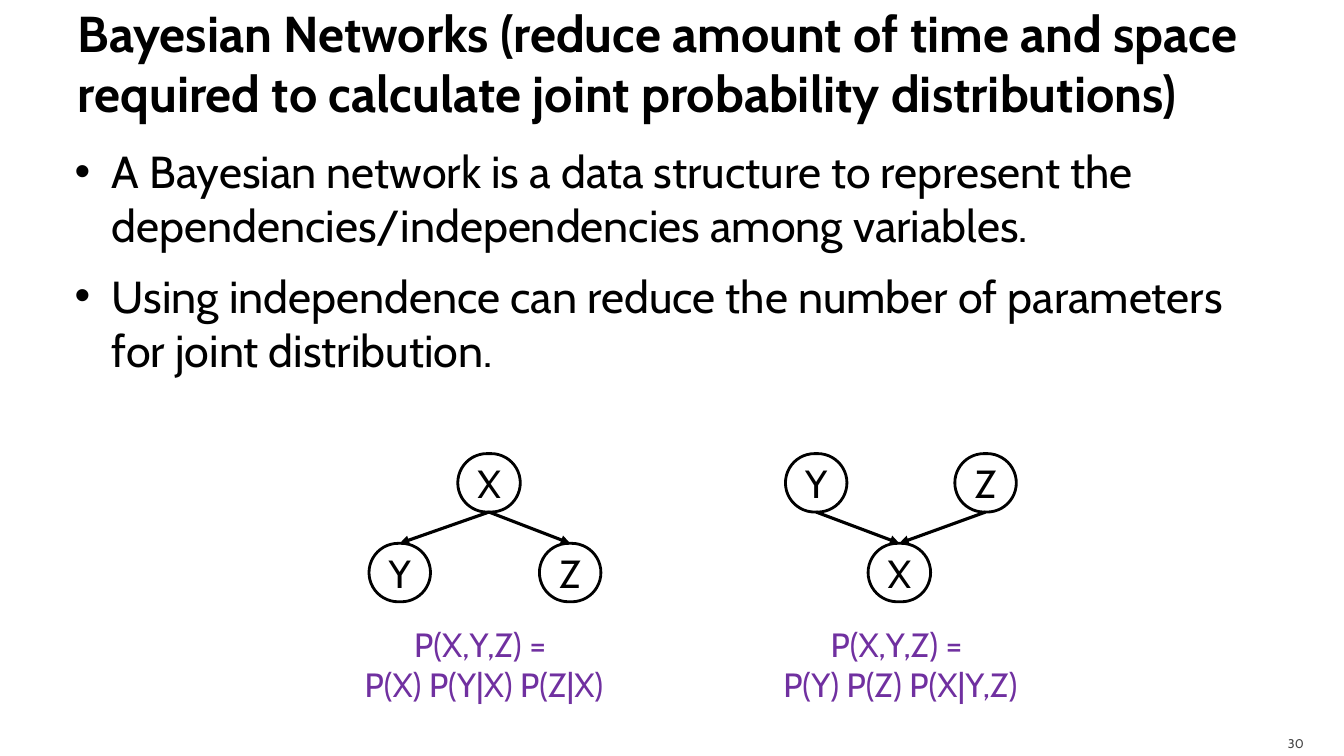
"""Build a slide on Bayesian networks with two small dependency graphs."""
from dataclasses import dataclass

from lxml.etree import SubElement
from pptx import Presentation
from pptx.dml.color import RGBColor
from pptx.enum.shapes import MSO_CONNECTOR, MSO_SHAPE
from pptx.enum.text import MSO_ANCHOR, MSO_AUTO_SIZE, PP_ALIGN
from pptx.oxml.ns import qn
from pptx.shapes.autoshape import Shape
from pptx.slide import Slide
from pptx.text.text import TextFrame, _Paragraph
from pptx.util import Emu, Pt

FONT = "Cabin"
BLACK, GREY, PURPLE = "000000", "454545", "7030A0"
EMU_PER_PX = 9144
NODE_HEIGHT = 58
TOP_ROW, BOTTOM_ROW = 450, 539
BOTTOM_SITE, TOP_SITE = 2, 0


@dataclass(frozen=True)
class Node:
    name: str
    left: int
    top: int
    width: int = 61


@dataclass(frozen=True)
class Network:
    nodes: tuple[Node, ...]
    edges: tuple[str, ...]
    formula_left: int
    formula: tuple[str, ...]


TITLE = ("Bayesian Networks (reduce amount of time and space required "
         "to calculate joint probability distributions)")
BULLETS = (
    "A Bayesian network is a data structure to represent the "
    "dependencies/independencies among variables.",
    "Using independence can reduce the number of parameters for joint distribution.",
)
NETWORKS = (
    Network(
        (Node("Y", 366, BOTTOM_ROW), Node("X", 454, TOP_ROW, 62), Node("Z", 535, BOTTOM_ROW)),
        ("XY", "XZ"), 345, ("P(X,Y,Z) = ", "P(X) P(Y|X) P(Z|X)"),
    ),
    Network(
        (Node("Y", 779, TOP_ROW), Node("X", 861, BOTTOM_ROW, 62), Node("Z", 947, TOP_ROW)),
        ("YX", "ZX"), 758, ("P(X,Y,Z) = ", "P(Y) P(Z) P(X|Y,Z)"),
    ),
)


def px(length: int) -> Emu:
    return Emu(length * EMU_PER_PX)


def color(value: str) -> RGBColor:
    return RGBColor.from_string(value)


def set_frame(frame: TextFrame, margins: tuple[int, int, int, int],
              anchor: MSO_ANCHOR, wrap: bool = True) -> None:
    frame.auto_size = MSO_AUTO_SIZE.NONE
    frame.word_wrap = wrap
    frame.vertical_anchor = anchor
    frame.margin_left, frame.margin_top, frame.margin_right, frame.margin_bottom = map(px, margins)


def write(frame: TextFrame, lines: tuple[str, ...], size: int, ink: str,
          align: PP_ALIGN, bold: bool = False) -> None:
    for index, line in enumerate(lines):
        para = frame.paragraphs[0] if index == 0 else frame.add_paragraph()
        para.alignment = align
        span = para.add_run()
        span.text = line
        span.font.name = FONT
        span.font.size = Pt(size)
        span.font.bold = bold
        span.font.color.rgb = color(ink)


def add_bullet(para: _Paragraph) -> None:
    para.space_before = para.space_after = Pt(6)
    properties = para._p.get_or_add_pPr()
    properties.set("marL", str(px(38)))
    properties.set("indent", str(px(-37)))
    ink = SubElement(properties, qn("a:buClr"))
    SubElement(ink, qn("a:srgbClr"), val=BLACK)
    SubElement(properties, qn("a:buFont"), typeface="Arial")
    SubElement(properties, qn("a:buChar"), char="•")


def add_title(page: Slide) -> None:
    title = page.shapes.title
    title.left, title.top, title.width, title.height = map(px, (67, 8, 1200, 108))
    set_frame(title.text_frame, (10, 5, 5, 5), MSO_ANCHOR.MIDDLE)
    write(title.text_frame, (TITLE,), 36, BLACK, PP_ALIGN.LEFT, bold=True)


def add_bullets(page: Slide) -> None:
    box = page.shapes.add_textbox(*map(px, (67, 133, 1200, 583)))
    set_frame(box.text_frame, (6, 10, 10, 5), MSO_ANCHOR.TOP)
    write(box.text_frame, BULLETS, 32, BLACK, PP_ALIGN.LEFT)
    for para in box.text_frame.paragraphs:
        add_bullet(para)


def add_page_number(page: Slide) -> None:
    box = page.shapes.add_textbox(*map(px, (1196, 720, 107, 30)))
    set_frame(box.text_frame, (10, 5, 10, 0), MSO_ANCHOR.MIDDLE)
    write(box.text_frame, ("30",), 9, GREY, PP_ALIGN.RIGHT)


def add_node(page: Slide, node: Node) -> Shape:
    shape = page.shapes.add_shape(
        MSO_SHAPE.ROUNDED_RECTANGLE, px(node.left), px(node.top), px(node.width), px(NODE_HEIGHT))
    shape.adjustments[0] = 0.5
    shape.shadow.inherit = False
    shape.fill.background()
    shape.line.color.rgb = color(BLACK)
    shape.line.width = Pt(2)
    set_frame(shape.text_frame, (0, 0, 0, 0), MSO_ANCHOR.MIDDLE)
    write(shape.text_frame, (node.name,), 28, BLACK, PP_ALIGN.CENTER)
    return shape


def add_edge(page: Slide, parent: Shape, child: Shape) -> None:
    arrow = page.shapes.add_connector(MSO_CONNECTOR.STRAIGHT, 0, 0, 0, 0)
    arrow.begin_connect(parent, BOTTOM_SITE)
    arrow.end_connect(child, TOP_SITE)
    arrow.line.color.rgb = color(BLACK)
    arrow.line.width = Pt(2.25)
    SubElement(arrow.line._get_or_add_ln(), qn("a:tailEnd"), type="triangle")
    SubElement(arrow._element.spPr, qn("a:effectLst"))


def add_network(page: Slide, network: Network) -> None:
    shapes = {node.name: add_node(page, node) for node in network.nodes}
    for parent, child in network.edges:
        add_edge(page, shapes[parent], shapes[child])
    box = page.shapes.add_textbox(*map(px, (network.formula_left, 614, 270, 91)))
    set_frame(box.text_frame, (10, 5, 10, 5), MSO_ANCHOR.TOP, wrap=False)
    write(box.text_frame, network.formula, 24, PURPLE, PP_ALIGN.CENTER)


def main() -> None:
    deck = Presentation()
    deck.slide_width, deck.slide_height = px(1333), px(750)
    page = deck.slides.add_slide(deck.slide_layouts.get_by_name("Title Only"))
    add_title(page)
    add_bullets(page)
    add_page_number(page)
    for network in NETWORKS:
        add_network(page, network)
    deck.save("out.pptx")


if __name__ == "__main__":
    main()
